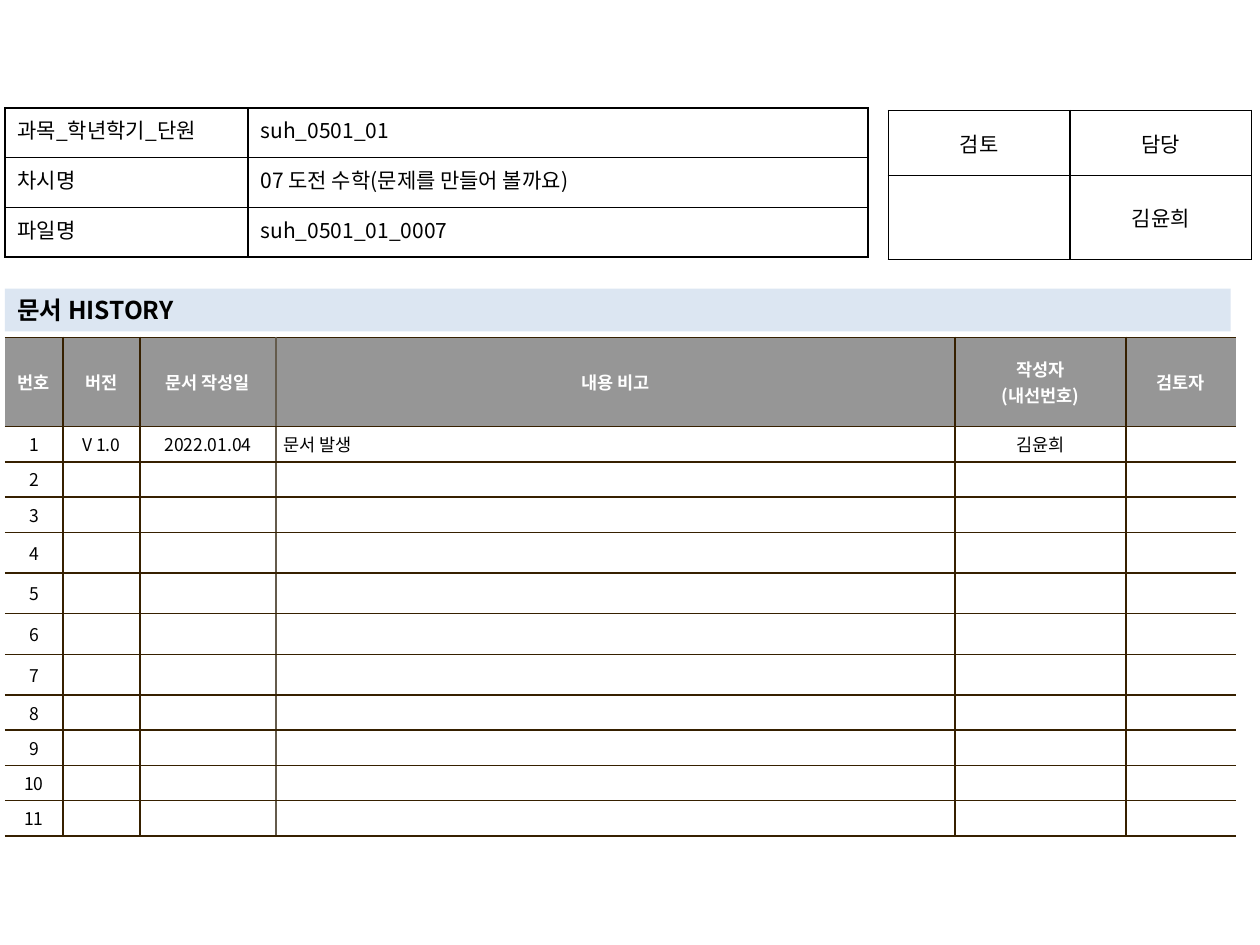
from lxml import etree
from pptx import Presentation
from pptx.dml.color import RGBColor
from pptx.enum.shapes import MSO_SHAPE
from pptx.enum.text import MSO_ANCHOR as Anchor, PP_ALIGN as Align
from pptx.oxml.ns import qn
from pptx.util import Cm, Pt

BLACK = RGBColor(0x00, 0x00, 0x00)
WHITE = RGBColor(0xFF, 0xFF, 0xFF)
GRAY = RGBColor(0x96, 0x96, 0x96)
PALE_BLUE = RGBColor(0xDC, 0xE6, 0xF2)
BROWN = RGBColor(0x36, 0x20, 0x00)
TAUPE = RGBColor(0x64, 0x5B, 0x4C)


class FormSlide:
    FONT = "Noto Sans CJK KR"
    LINE = Pt(1)

    def __init__(self, slide):
        self.slide = slide

    def set_text(self, frame, text, size, color=BLACK, bold=False, align=Align.LEFT):
        frame.text = text
        for paragraph in frame.paragraphs:
            paragraph.alignment = align
            if not paragraph.runs:
                # An empty cell would otherwise stretch its row to 18 pt text.
                end = etree.SubElement(paragraph._p, qn("a:endParaRPr"))
                end.set("sz", str(size * 100))
            for run in paragraph.runs:
                font = run.font
                font.name, font.size, font.bold = self.FONT, Pt(size), bold
                font.color.rgb = color
                east_asian = etree.SubElement(font._element, qn("a:ea"))
                east_asian.set("typeface", self.FONT)

    def border(self, cell, left, right, top, bottom):
        """Draw the four sides of a cell; a side given as None stays open."""
        properties = cell._tc.get_or_add_tcPr()
        sides = zip(("lnL", "lnR", "lnT", "lnB"), (left, right, top, bottom))
        for position, (side, color) in enumerate(sides):
            line = etree.Element(qn(f"a:{side}"), w=str(self.LINE))
            if color is None:
                etree.SubElement(line, qn("a:noFill"))
            else:
                solid = etree.SubElement(line, qn("a:solidFill"))
                etree.SubElement(solid, qn("a:srgbClr"), val=str(color))
            properties.insert(position, line)

    def grid(self, left, top, widths, heights):
        """Add an unstyled table whose columns and rows are given in cm."""
        table = self.slide.shapes.add_table(
            len(heights), len(widths), Cm(left), Cm(top),
            Cm(sum(widths)), Cm(sum(heights))).table
        table.first_row = table.horz_banding = False
        for column, width in zip(table.columns, widths):
            column.width = Cm(width)
        for row, height in zip(table.rows, heights):
            row.height = Cm(height)
        return table

    def boxed_table(self, left, top, widths, heights, rows, aligns, anchor):
        table = self.grid(left, top, widths, heights)
        for r, row in enumerate(rows):
            for c, text in enumerate(row):
                cell = table.cell(r, c)
                cell.fill.background()
                cell.vertical_anchor = anchor
                self.set_text(cell.text_frame, text, 12, align=aligns[c])
                self.border(cell, BLACK, BLACK, BLACK, BLACK)

    def history_table(self, left, top, widths, heights, rows, verticals):
        """Add the log; verticals holds the line colours from left to right."""
        table = self.grid(left, top, widths, heights)
        for r, row in enumerate(rows):
            header = r == 0
            for c, text in enumerate(row):
                cell = table.cell(r, c)
                cell.fill.solid()
                cell.fill.fore_color.rgb = GRAY if header else WHITE
                cell.vertical_anchor = Anchor.MIDDLE
                cell.margin_left = cell.margin_right = Cm(0.15)
                cell.margin_top = cell.margin_bottom = Cm(0.1)
                is_note = c == 3 and not header
                self.set_text(cell.text_frame, text, 10,
                              WHITE if header else BLACK, header,
                              Align.LEFT if is_note else Align.CENTER)
                self.border(cell, verticals[c], verticals[c + 1], BROWN, BROWN)

    def banner(self, left, top, width, height, text):
        bar = self.slide.shapes.add_shape(
            MSO_SHAPE.RECTANGLE, Cm(left), Cm(top), Cm(width), Cm(height))
        bar.shadow.inherit = False
        bar.fill.solid()
        bar.fill.fore_color.rgb = PALE_BLUE
        bar.line.fill.background()
        bar.text_frame.vertical_anchor = Anchor.MIDDLE
        self.set_text(bar.text_frame, text, 14, bold=True)


def main():
    deck = Presentation()
    deck.slide_width, deck.slide_height = Cm(25.4), Cm(19.05)
    form = FormSlide(deck.slides.add_slide(deck.slide_layouts[6]))

    history = [
        ("번호", "버전", "문서 작성일", "내용 비고", "작성자\n(내선번호)", "검토자"),
        ("1", "V 1.0", "2022.01.04", "문서 발생", "김윤희", ""),
    ]
    history += [(str(number), "", "", "", "", "") for number in range(2, 12)]
    form.history_table(
        0.1, 6.8, (1.17, 1.55, 2.74, 13.69, 3.45, 2.21),
        [1.8] + [0.71] * 3 + [0.82] * 4 + [0.71] * 4,
        history, (None, BROWN, BROWN, TAUPE, BROWN, BROWN, None))

    form.boxed_table(
        17.91, 2.23, (3.66, 3.66), (1.31, 1.69),
        [("검토", "담당"), ("", "김윤희")],
        (Align.CENTER, Align.CENTER), Anchor.MIDDLE)

    form.banner(0.1, 5.82, 24.71, 0.86, "문서 HISTORY")

    form.boxed_table(
        0.1, 2.18, (4.9, 12.5), [1] * 3,
        [("과목_학년학기_단원", "suh_0501_01"),
         ("차시명", "07 도전 수학(문제를 만들어 볼까요)"),
         ("파일명", "suh_0501_01_0007")],
        (Align.JUSTIFY, Align.LEFT), Anchor.TOP)

    deck.save("out.pptx")


if __name__ == "__main__":
    main()
